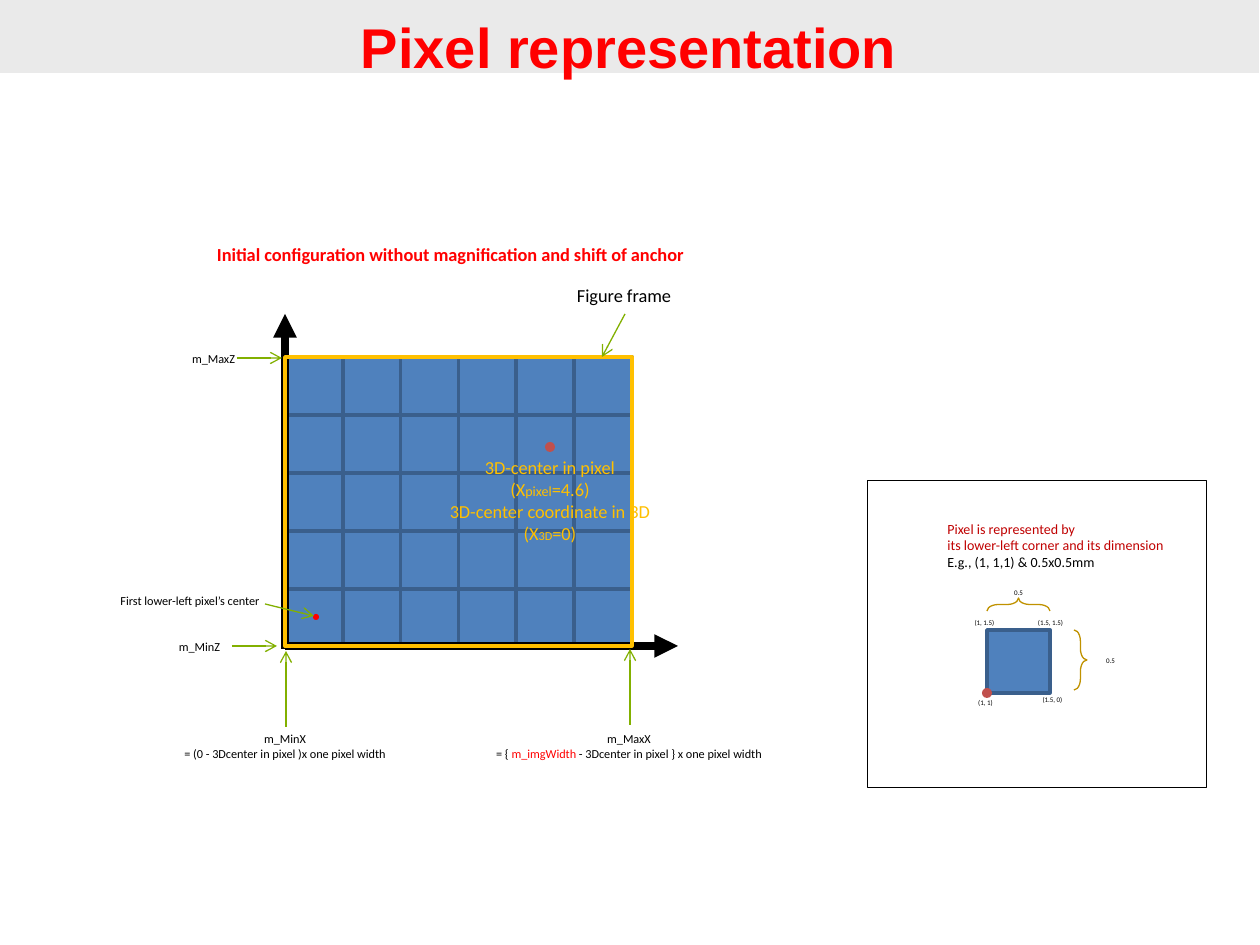
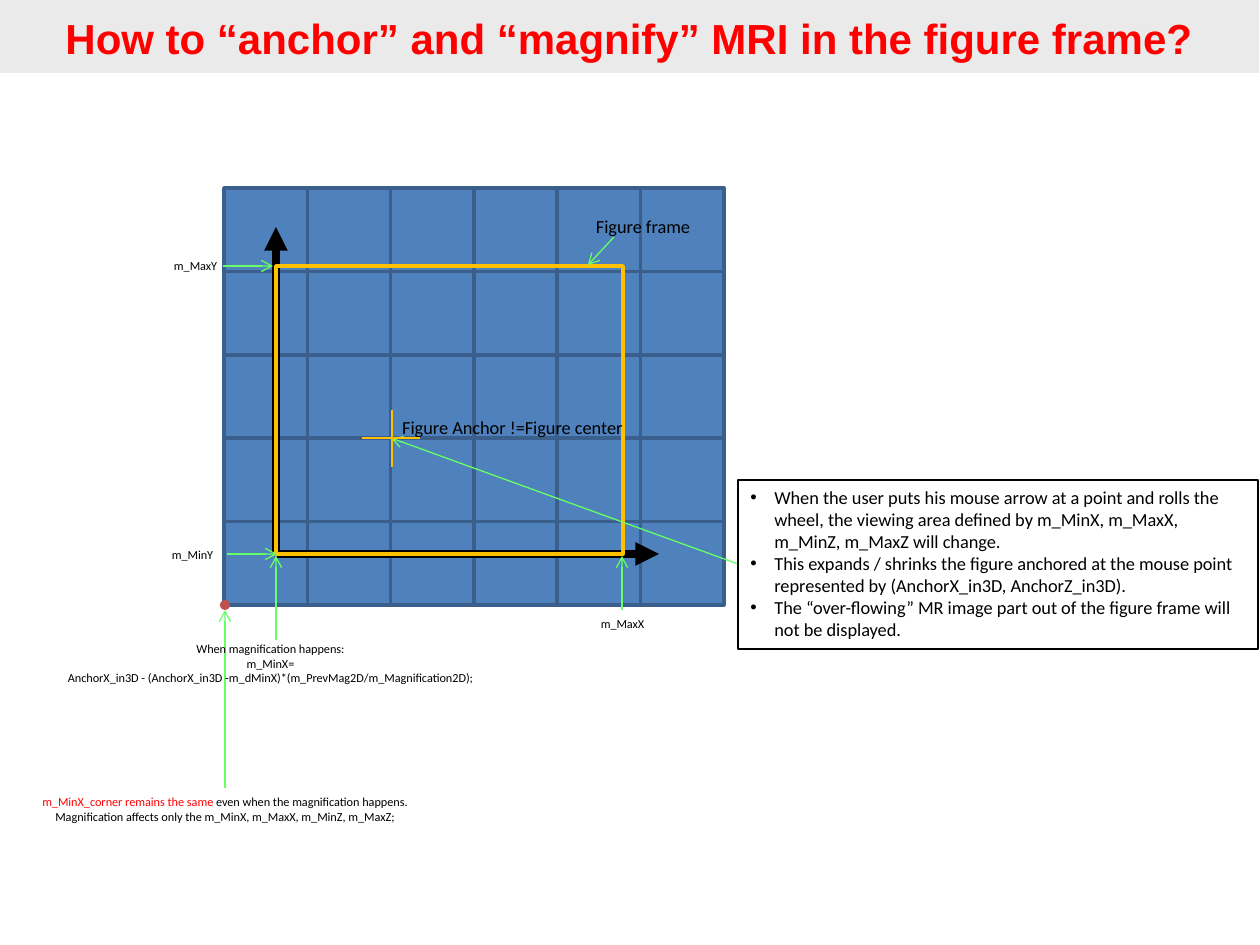
from dataclasses import dataclass

from lxml import etree
from pptx import Presentation
from pptx.dml.color import RGBColor
from pptx.enum.shapes import MSO_CONNECTOR, MSO_SHAPE
from pptx.enum.text import MSO_ANCHOR, MSO_AUTO_SIZE, PP_ALIGN
from pptx.oxml.ns import qn
from pptx.util import Inches, Pt

RECT, OVAL, BRACE = MSO_SHAPE.RECTANGLE, MSO_SHAPE.OVAL, MSO_SHAPE.RIGHT_BRACE
STRAIGHT = MSO_CONNECTOR.STRAIGHT
LEFT, CENTER = PP_ALIGN.LEFT, PP_ALIGN.CENTER
PX_PER_INCH = 126
TITLE_ONLY = 5


@dataclass(frozen=True)
class Theme:
    title_font: str = "Arial"
    body_font: str = "Calibri"
    band: str = "EAEAEA"
    red: str = "FF0000"
    dark_red: str = "C00000"
    black: str = "000000"
    gold: str = "FFC000"
    dark_gold: str = "C09200"
    pixel: str = "4F81BD"
    pixel_edge: str = "3A5F8C"
    dot: str = "C0504D"
    olive: str = "82B000"
    lime: str = "66FF66"
    body: float = 10.5
    caption: float = 8
    label: float = 7
    tiny: float = 4
    thick: float = 4.5
    medium: float = 2
    thin: float = 0.75
    hairline: float = 0.5


T = Theme()

# Boxes are (left, top, width, height); arrows are (x1, y1, x2, y2); all in px.
BAND = (-1, 0, 1260, 73)
BAND_INSET = 12
GRID_COLS, GRID_ROWS = 6, 5

# A label is (box, size, colour, paragraphs). A paragraph is a string or a list
# of runs, each (text, overrides).
REPRESENTATION = {
    "title": ("Pixel representation", 32),
    "grid": (285, 357, 347, 290),
    "axes": [(285, 649, 285, 314), (285, 646, 678, 646)],
    "frame": (285, 357, 347, 289),
    "arrow_color": T.olive,
    "arrows": [
        (625, 314, 602, 357), (265, 604, 314, 616), (237, 358, 282, 358),
        (232, 646, 277, 646), (286, 727, 286, 651), (630, 725, 630, 649),
    ],
    "dots": [(550, 447, 10, T.dot), (316, 617, 6, T.red)],
    "labels": [
        ((189, 237, 523, 35), T.body, T.red,
         [[("Initial configuration without magnification and shift of anchor", {"bold": True})]]),
        ((544, 278, 160, 35), T.body, T.black, ["Figure frame"]),
        ((412, 450, 276, 102), T.body, T.gold, [
            "3D-center in pixel",
            [("(X", {}), ("pixel", {"size": 8}), ("=4.6)", {})],
            "3D-center coordinate in 3D",
            [("(X", {}), ("3D", {"size": 7}), ("=0)", {})],
        ]),
        ((174, 345, 79, 28), T.label, T.black, ["m_MaxZ"]),
        ((160, 633, 79, 28), T.label, T.black, ["m_MinZ"]),
        ((84, 587, 212, 28), T.label, T.black, ["First lower-left pixel’s center"]),
        ((142, 725, 286, 43), T.label, T.black,
         ["m_MinX", "= (0 - 3Dcenter in pixel )x one pixel width"]),
        ((466, 725, 326, 57), T.label, T.black, [
            "m_MaxX",
            [("= { ", {}), ("m_imgWidth", {"color": T.red}),
             (" - 3Dcenter in pixel } x one pixel width", {})],
        ]),
    ],
}

PIXEL_INSET = {
    "box": (867, 480, 340, 307),
    "pixel": (987, 630, 63, 63),
    "braces": [((1074, 630, 13, 60), 0), ((1012, 573, 13, 63), 270)],
    "caption": ((935, 514, 273, 63), T.caption, T.dark_red, [
        "Pixel is represented by",
        "its lower-left corner and its dimension",
        [("E.g., (1, 1,1) & 0.5x0.5mm", {"color": T.black})],
    ]),
    "marks": [
        ("(1, 1)", 954, 692), ("(1.5, 0)", 1021, 689), ("(1, 1.5)", 953, 612),
        ("(1.5, 1.5)", 1019, 612), ("0.5", 1079, 650), ("0.5", 987, 582),
    ],
    "mark_size": (63, 21),
}

ANCHORING = {
    "title": ("How to “anchor” and “magnify” MRI in the figure frame?", 24),
    "grid": (224, 188, 500, 417),
    "axes": [(276, 554, 276, 227), (277, 554, 659, 554)],
    "frame": (276, 266, 347, 288),
    "arrow_color": T.lime,
    "arrows": [
        (614, 237, 588, 265), (738, 564, 391, 438), (276, 640, 276, 556),
        (225, 788, 225, 610), (227, 554, 277, 554), (223, 266, 273, 266),
        (622, 610, 622, 556),
    ],
    "dots": [(225, 605, 10, T.dot)],
    "labels": [
        ((563, 209, 160, 35), T.body, T.black, ["Figure frame"]),
        ((382, 410, 261, 35), T.body, T.black, ["Figure Anchor !=Figure center"]),
        ((156, 252, 79, 28), T.label, T.black, ["m_MaxY"]),
        ((153, 541, 79, 28), T.label, T.black, ["m_MinY"]),
        ((583, 610, 79, 28), T.label, T.black, ["m_MaxX"]),
        ((20, 635, 501, 72), T.label, T.black, [
            "When magnification happens:",
            "m_MinX=",
            "AnchorX_in3D - (AnchorX_in3D -m_dMinX)*(m_PrevMag2D/m_Magnification2D);",
        ]),
        ((10, 788, 430, 43), T.label, T.black, [
            [("m_MinX_corner remains the same ", {"color": T.red}),
             ("even when the magnification happens.", {})],
            "Magnification affects only the m_MinX, m_MaxX, m_MinZ, m_MaxZ;",
        ]),
    ],
}

ANCHOR_CROSS = [(362, 438, 420, 438), (392, 410, 392, 467)]
NOTES_BOX = (738, 480, 520, 169)
NOTES_INDENT = 24
NOTES = [
    "When the user puts his mouse arrow at a point and rolls the wheel, the viewing "
    "area defined by m_MinX, m_MaxX, m_MinZ, m_MaxZ will change.",
    "This expands / shrinks the figure anchored at the mouse point represented by "
    "(AnchorX_in3D, AnchorZ_in3D).",
    "The “over-flowing” MR image part out of the figure frame will not be displayed.",
]


def px(value):
    return round(value * Inches(1) / PX_PER_INCH)


def rgb(color):
    return RGBColor.from_string(color)


def add_shape(shapes, kind, box, fill=None, line=None, width=T.thin):
    sp = shapes.add_shape(kind, *map(px, box))
    sp.shadow.inherit = False
    if fill:
        sp.fill.solid()
        sp.fill.fore_color.rgb = rgb(fill)
    else:
        sp.fill.background()
    if line:
        sp.line.color.rgb = rgb(line)
        sp.line.width = Pt(width)
    else:
        sp.line.fill.background()
    return sp


def add_line(s, ends, color, width=T.thin, arrowhead=None):
    c = s.shapes.add_connector(STRAIGHT, *map(px, ends))
    c.line.color.rgb = rgb(color)
    c.line.width = Pt(width)
    if arrowhead:
        etree.SubElement(c.line._get_or_add_ln(), qn("a:tailEnd"), type=arrowhead)
    etree.SubElement(c._element.spPr, qn("a:effectLst"))


def format_run(r, size, color, bold=False, font=T.body_font):
    r.font.name = font
    r.font.size = Pt(size)
    r.font.bold = bold
    r.font.color.rgb = rgb(color)


def write(tf, size, color, paragraphs, align):
    tf.word_wrap = True
    tf.vertical_anchor = MSO_ANCHOR.TOP
    for i, runs in enumerate(paragraphs):
        p = tf.add_paragraph() if i else tf.paragraphs[0]
        p.alignment = align
        if isinstance(runs, str):
            runs = [(runs, {})]
        for text, overrides in runs:
            r = p.add_run()
            r.text = text
            format_run(r, **{"size": size, "color": color, **overrides})


def add_label(s, box, size, color, paragraphs, align=CENTER):
    tb = s.shapes.add_textbox(*map(px, box))
    write(tb.text_frame, size, color, paragraphs, align)


def add_bullet(p):
    """Give the paragraph a round bullet and a hanging indent."""
    pPr = p._p.get_or_add_pPr()
    pPr.set("marL", str(px(NOTES_INDENT)))
    pPr.set("indent", str(-px(NOTES_INDENT)))
    etree.SubElement(pPr, qn("a:buFont"), typeface="Arial")
    etree.SubElement(pPr, qn("a:buChar"), char="•")


def add_title(s, text, size):
    title = s.shapes.title
    title.left, title.top, title.width, title.height = map(px, BAND)
    title.fill.solid()
    title.fill.fore_color.rgb = rgb(T.band)
    tf = title.text_frame
    tf.text = text
    tf.auto_size = MSO_AUTO_SIZE.NONE
    tf.vertical_anchor = MSO_ANCHOR.TOP
    tf.margin_top = px(BAND_INSET)
    p = tf.paragraphs[0]
    p.alignment = CENTER
    p.space_before = Pt(0)
    format_run(p.runs[0], size, T.red, True, T.title_font)


def add_grid(s, left, top, width, height):
    group = s.shapes.add_group_shape()
    w, h = width / GRID_COLS, height / GRID_ROWS
    for row in range(GRID_ROWS):
        for col in range(GRID_COLS):
            cell = (left + col * w, top + row * h, w, h)
            add_shape(group.shapes, RECT, cell, T.pixel, T.pixel_edge, T.medium)


def add_dot(s, x, y, size, color):
    add_shape(s.shapes, OVAL, (x - size / 2, y - size / 2, size, size), color)


def add_figure_slide(prs, figure):
    """Add a slide with its title, pixel grid, axes, frame, arrows and labels."""
    s = prs.slides.add_slide(prs.slide_layouts[TITLE_ONLY])
    add_title(s, *figure["title"])
    add_grid(s, *figure["grid"])
    for axis in figure["axes"]:
        add_line(s, axis, T.black, T.thick, "triangle")
    add_shape(s.shapes, RECT, figure["frame"], line=T.gold, width=T.medium)
    for dot in figure["dots"]:
        add_dot(s, *dot)
    for arrow in figure["arrows"]:
        add_line(s, arrow, figure["arrow_color"], arrowhead="arrow")
    for label in figure["labels"]:
        add_label(s, *label)
    return s


def add_pixel_inset(s, inset):
    add_shape(s.shapes, RECT, inset["box"], line=T.black, width=T.hairline)
    left, top, width, height = inset["pixel"]
    add_shape(s.shapes, RECT, inset["pixel"], T.pixel, T.pixel_edge, T.medium)
    add_dot(s, left, top + height, 10, T.dot)
    for box, rotation in inset["braces"]:
        brace = add_shape(s.shapes, BRACE, box, line=T.dark_gold)
        brace.adjustments[0] = 0.87
        brace.rotation = rotation
    add_label(s, *inset["caption"], align=LEFT)
    for text, x, y in inset["marks"]:
        add_label(s, (x, y, *inset["mark_size"]), T.tiny, T.black, [text])


def add_notes_box(s):
    sp = add_shape(s.shapes, RECT, NOTES_BOX, line=T.black)
    write(sp.text_frame, T.body, T.black, NOTES, LEFT)
    for p in sp.text_frame.paragraphs:
        add_bullet(p)


def main():
    prs = Presentation()
    prs.slide_width, prs.slide_height = Inches(10), Inches(7.5)
    add_pixel_inset(add_figure_slide(prs, REPRESENTATION), PIXEL_INSET)
    s = add_figure_slide(prs, ANCHORING)
    for stroke in ANCHOR_CROSS:
        add_line(s, stroke, T.gold)
    add_notes_box(s)
    prs.save("out.pptx")


if __name__ == "__main__":
    main()
